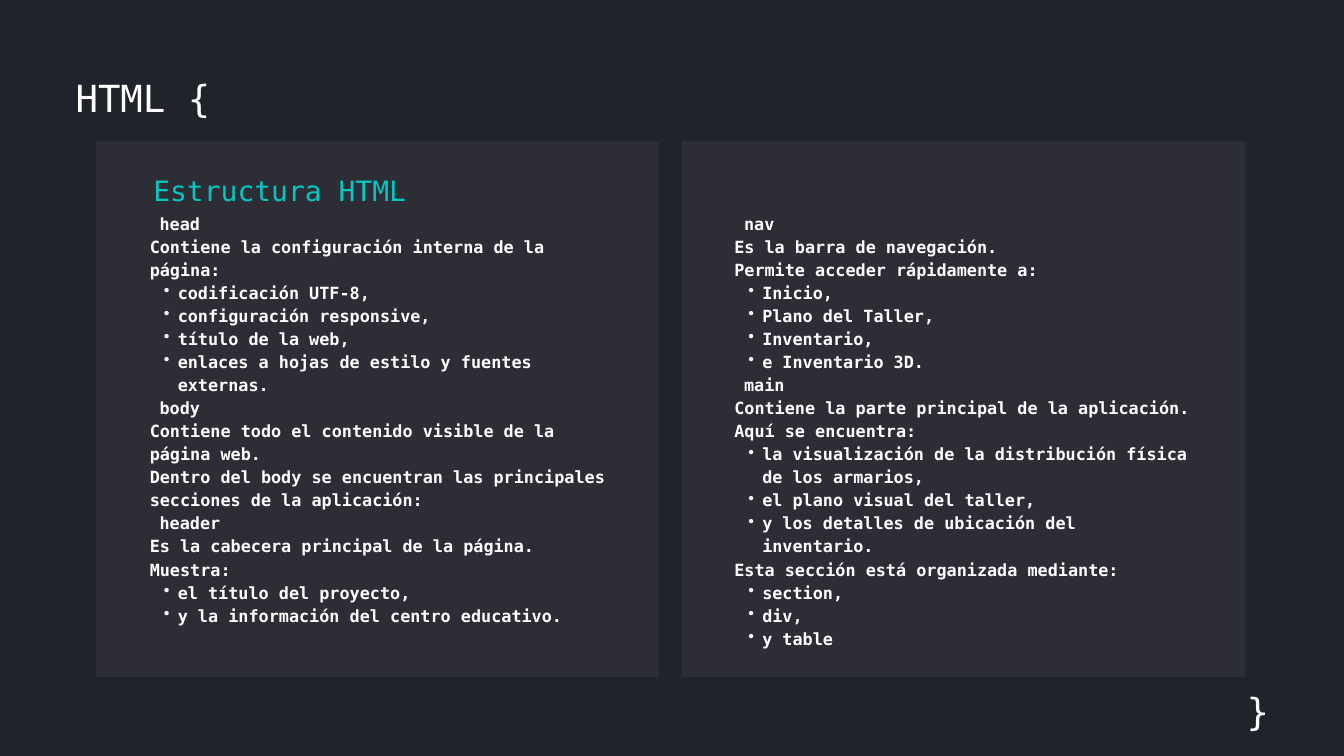
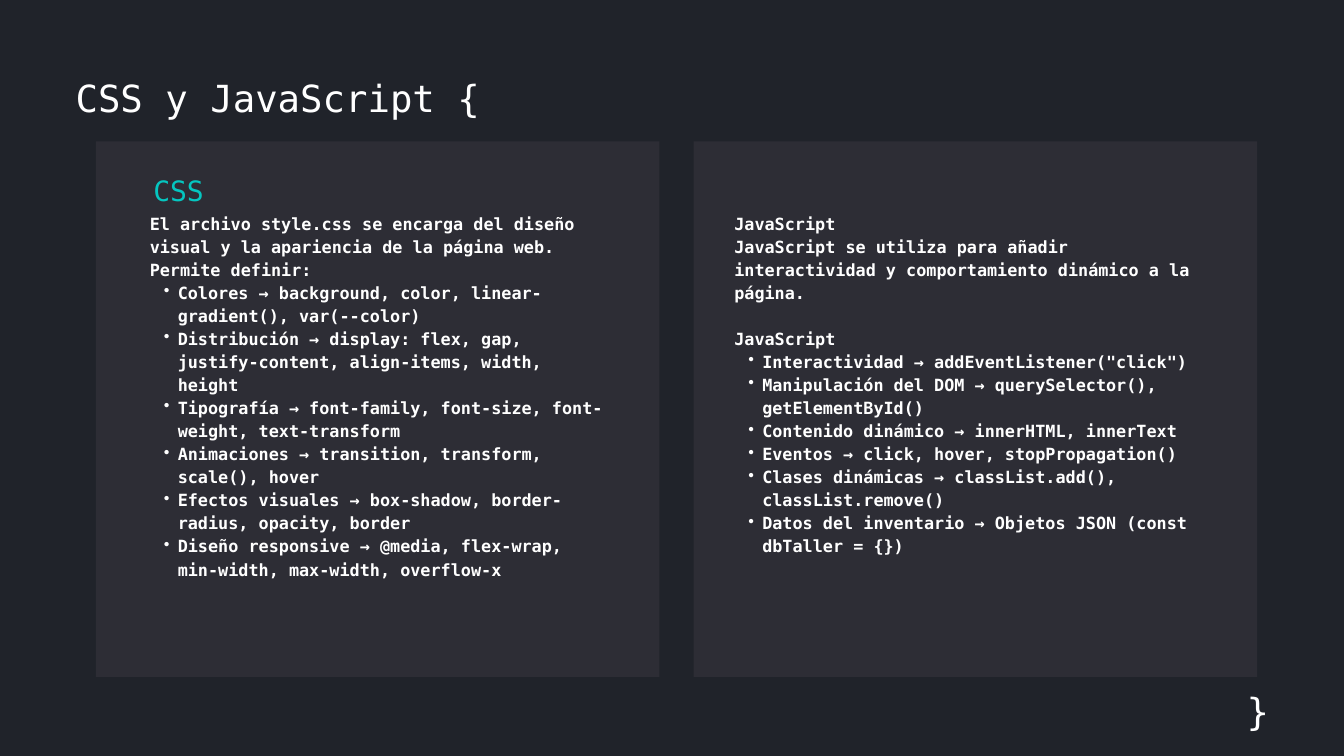
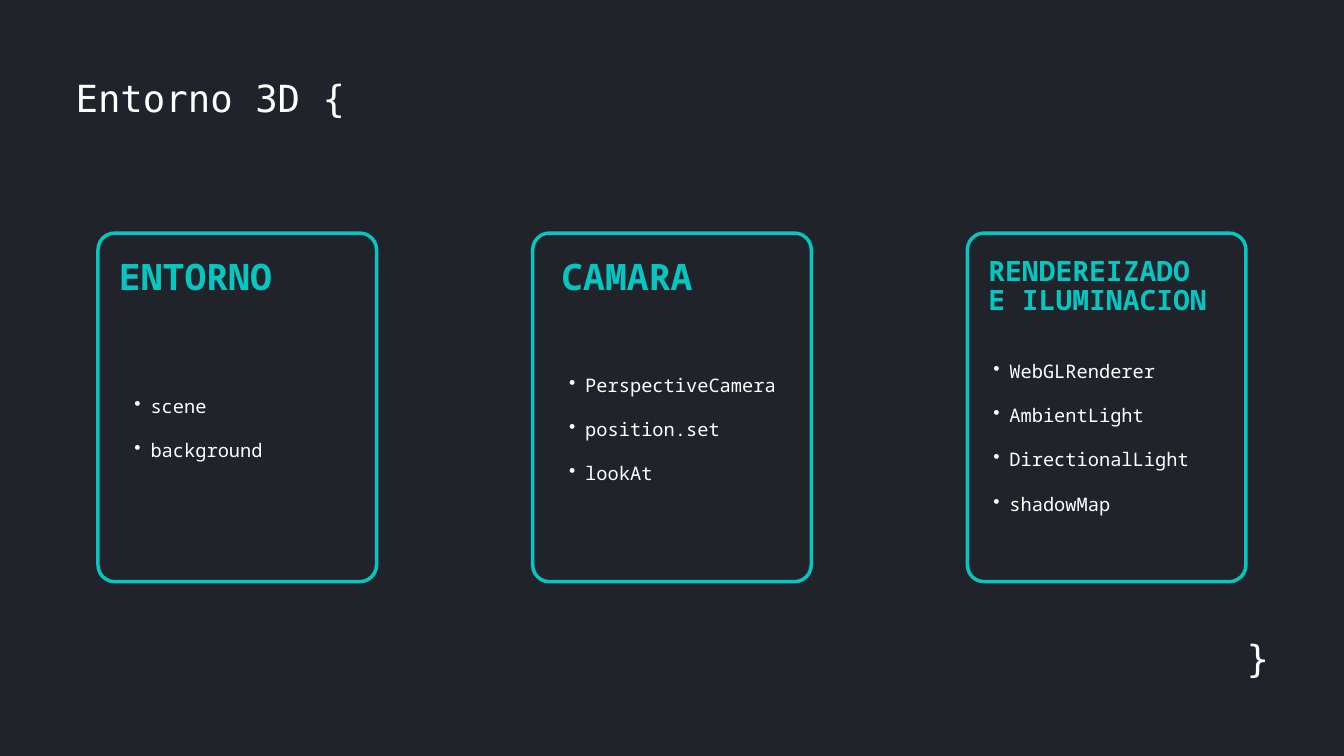
from lxml import etree
from pptx import Presentation
from pptx import util as u
from pptx.dml.color import RGBColor
from pptx.enum import shapes, text
from pptx.oxml.ns import qn

PX = 9525
HUES = {"back": "20232A", "panel": "2D2D35", "teal": "05C6C0", "white": "FFFFFF"}
CODE = "DejaVu Sans Mono"
NOTO = "Noto Sans Mono"

deck = Presentation()
deck.slide_width, deck.slide_height = 1920 * PX, 1080 * PX


def hue(name):
    return RGBColor.from_string(HUES[name])


def write(page, lines, box, size=18, lead=24.7, font=CODE, color="white",
          bold=False, align=None, indent=40, hang=20, gaps=()):
    frame = page.shapes.add_textbox(*[n * PX for n in box]).text_frame
    frame.margin_left = frame.margin_right = frame.margin_top = frame.margin_bottom = 0
    frame.word_wrap = True
    frame.auto_size = text.MSO_AUTO_SIZE.SHAPE_TO_FIT_TEXT
    for i, line in enumerate(lines):
        para = frame.paragraphs[0] if i == 0 else frame.add_paragraph()
        para.line_spacing = u.Pt(lead)
        para.alignment = align
        if i in gaps:
            para.space_before = u.Pt(lead)
        props = para._p.get_or_add_pPr()
        if line.startswith("- "):
            props.set("marL", str(indent * PX))
            props.set("indent", str(-hang * PX))
            etree.SubElement(props, qn("a:buChar")).set("char", "•")
        elif line.startswith("> "):
            props.set("marL", str(14 * PX))
        run = para.add_run()
        run.text = line.removeprefix("- ").removeprefix("> ")
        run.font.size = u.Pt(size)
        run.font.name = font
        run.font.bold = bold
        run.font.color.rgb = hue(color)


topics = [
    {
        "title": "HTML {", "head": "Estructura HTML", "right": 974, "tall": (671, 639), "gaps": (),
        "left": [
            "> head",
            "Contiene la configuración interna de la página:",
            "- codificación UTF-8,",
            "- configuración responsive,",
            "- título de la web,",
            "- enlaces a hojas de estilo y fuentes externas.",
            "> body",
            "Contiene todo el contenido visible de la página web.",
            "Dentro del body se encuentran las principales secciones de la aplicación:",
            "> header",
            "Es la cabecera principal de la página.",
            "Muestra:",
            "- el título del proyecto,",
            "- y la información del centro educativo.",
        ],
        "body": [
            "> nav",
            "Es la barra de navegación.",
            "Permite acceder rápidamente a:",
            "- Inicio,",
            "- Plano del Taller,",
            "- Inventario,",
            "- e Inventario 3D.",
            "> main",
            "Contiene la parte principal de la aplicación.",
            "Aquí se encuentra:",
            "- la visualización de la distribución física de los armarios,",
            "- el plano visual del taller,",
            "- y los detalles de ubicación del inventario.",
            "Esta sección está organizada mediante:",
            "- section,",
            "- div,",
            "- y table",
        ],
    },
    {
        "title": "CSS y JavaScript {", "head": "CSS", "right": 991, "tall": (543, 511), "gaps": (2,),
        "left": [
            "El archivo style.css se encarga del diseño visual y la apariencia de la página web.",
            "Permite definir:",
            "- Colores → background, color, linear-gradient(), var(--color)",
            "- Distribución → display: flex, gap, justify-content, align-items, width, height",
            "- Tipografía → font-family, font-size, font-weight, text-transform",
            "- Animaciones → transition, transform, scale(), hover",
            "- Efectos visuales → box-shadow, border-radius, opacity, border",
            "- Diseño responsive → @media, flex-wrap, min-width, max-width, overflow-x",
        ],
        "body": [
            "JavaScript",
            "JavaScript se utiliza para añadir interactividad y comportamiento dinámico a la página.",
            "JavaScript",
            '- Interactividad → addEventListener("click")',
            "- Manipulación del DOM → querySelector(), getElementById()",
            "- Contenido dinámico → innerHTML, innerText",
            "- Eventos → click, hover, stopPropagation()",
            "- Clases dinámicas → classList.add(), classList.remove()",
            "- Datos del inventario → Objetos JSON (const dbTaller = {})",
        ],
    },
]

cards = [
    ("ENTORNO", (170, 371, 379, 55), 39, 40.9,
     ["- scene", "- background"], (170, 565, 338, 124)),
    ("CAMARA", (802, 371, 340, 55), 39, 40.9,
     ["- PerspectiveCamera", "- position.set", "- lookAt"], (791, 534, 338, 185)),
    ("RENDEREIZADO E ILUMINACION", (1412, 368, 326, 86), 30, 31.5,
     ["- WebGLRenderer", "- AmbientLight", "- DirectionalLight", "- shadowMap"],
     (1397, 515, 368, 278)),
]

titles = [(topic["title"], 738, 987) for topic in topics] + [("Entorno 3D {", 995, 911)]
pages = []
for title, wide, end in titles:
    page = deck.slides.add_slide(deck.slide_layouts[6])
    page.background.fill.solid()
    page.background.fill.fore_color.rgb = hue("back")
    write(page, [title], (108, 110, wide, 61), size=40, lead=45.6)
    write(page, ["}"], (1739, end, 74, 61), size=40, lead=45.6, align=text.PP_ALIGN.RIGHT)
    pages.append(page)

for page, topic in zip(pages, topics):
    for left in (137, topic["right"]):
        panel = page.shapes.add_shape(
            shapes.MSO_SHAPE.RECTANGLE, left * PX, 202 * PX, 805 * PX, 765 * PX)
        panel.shadow.inherit = False
        panel.fill.solid()
        panel.fill.fore_color.rgb = hue("panel")
        panel.line.fill.background()
    write(page, [topic["head"]], (219, 249, 658, 47), size=30, lead=35.7, color="teal")
    write(page, topic["left"], (214, 301, 658, topic["tall"][0]), bold=True)
    write(page, topic["body"], (1049, 301, 658, topic["tall"][1]), bold=True, gaps=topic["gaps"])

page = pages[-1]
for i, (name, top, size, lead, items, box) in enumerate(cards):
    card = page.shapes.add_shape(
        shapes.MSO_SHAPE.ROUNDED_RECTANGLE, (140 + 621 * i) * PX, 333 * PX, 398 * PX, 498 * PX)
    card.adjustments[0] = 0.06
    card.shadow.inherit = False
    card.fill.background()
    card.line.color.rgb = hue("teal")
    card.line.width = u.Pt(3.75)
    write(page, [name], top, size=size, lead=lead, font=NOTO, color="teal", bold=True)
    write(page, items, box, size=20, lead=23.6, font=NOTO, indent=45, hang=23,
          gaps=range(1, len(items)))

deck.save("out.pptx")
